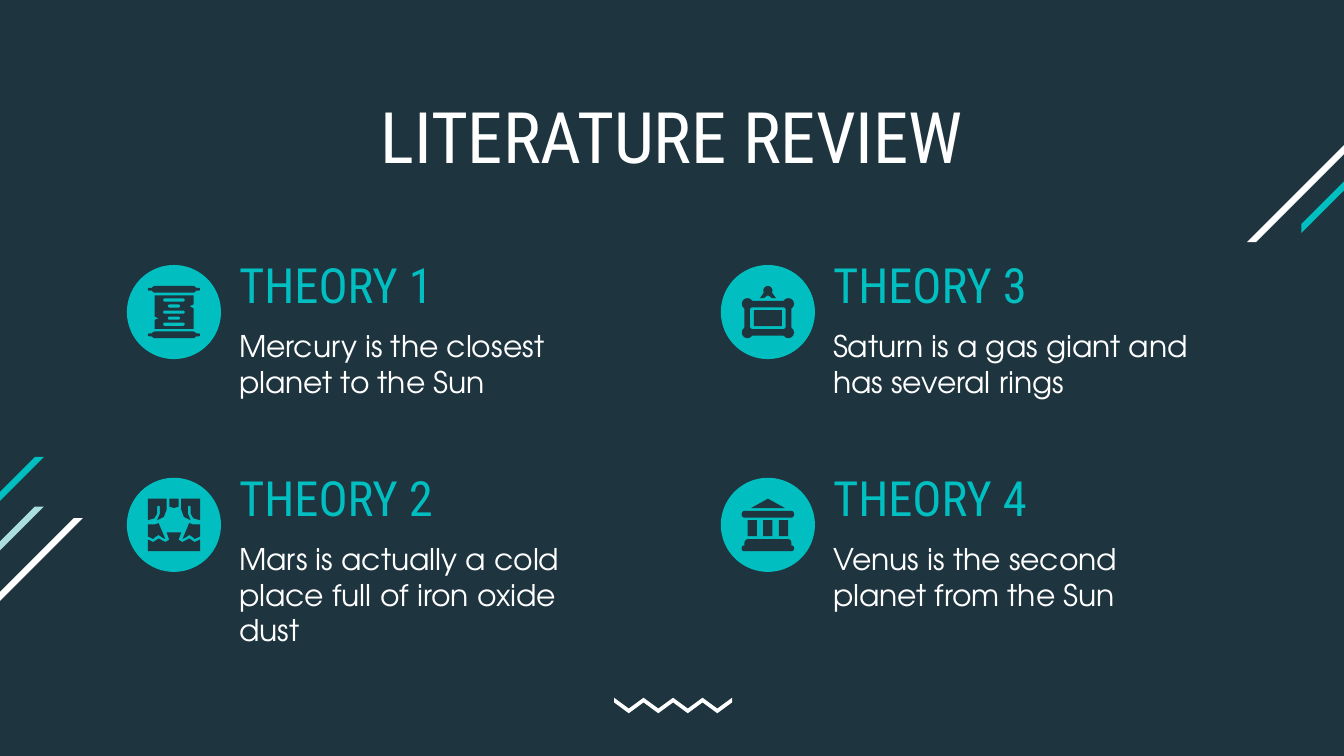
from pptx import Presentation
from pptx.dml.color import RGBColor
from pptx.enum.shapes import MSO_SHAPE
from pptx.enum.text import MSO_ANCHOR, PP_ALIGN
from pptx.util import Pt

DARK, TEAL, MINT, WHITE = "1E343F", "01BEC0", "ABDFDF", "FFFFFF"
HEAD, BODY = "Roboto Condensed", "TeX Gyre Adventor"


def paint(fill, tone):
    fill.solid()
    fill.fore_color.rgb = RGBColor.from_string(tone)


def write(frame, text, font=BODY, size=16, tone=WHITE, align=PP_ALIGN.LEFT):
    line = frame.paragraphs[0]
    line.alignment = align
    run = line.add_run()
    run.text = text
    run.font.name = font
    run.font.size = Pt(size)
    run.font.color.rgb = RGBColor.from_string(tone)


class Deck:
    def __init__(self, width, height):
        self.show = Presentation()
        self.show.slide_width = Pt(width)
        self.show.slide_height = Pt(height)
        self.slide = self.show.slides.add_slide(self.show.slide_layouts[6])
        paint(self.slide.background.fill, DARK)
        self.left = self.top = 0

    def move(self, left, top):
        self.left, self.top = left, top

    def finish(self, shape, tone):
        shape.shadow.inherit = False
        paint(shape.fill, tone)
        shape.line.fill.background()

    def shape(self, kind, x, y, w, h, tone=DARK):
        item = self.slide.shapes.add_shape(
            kind, Pt(self.left + x), Pt(self.top + y), Pt(w), Pt(h))
        self.finish(item, tone)
        return item

    def oval(self, *box, tone=DARK):
        self.shape(MSO_SHAPE.OVAL, *box, tone=tone)

    def rect(self, *box, tone=DARK):
        self.shape(MSO_SHAPE.RECTANGLE, *box, tone=tone)

    def bar(self, *box, tone=DARK, curve=0.5):
        item = self.shape(MSO_SHAPE.ROUNDED_RECTANGLE, *box, tone=tone)
        item.adjustments[0] = curve

    def poly(self, dots, tone=DARK):
        dots = [(Pt(self.left + x), Pt(self.top + y)) for x, y in dots]
        pen = self.slide.shapes.build_freeform(*dots[0])
        pen.add_line_segments(dots[1:], close=True)
        self.finish(pen.convert_to_shape(), tone)

    def stripe(self, x, y, size, tone, cut=False):
        wide = 4.8
        low = (x - size, y + size + wide) if cut else (x - size + wide, y + size)
        self.poly([(x, y), (x - size, y + size), low, (x + wide, y)], tone)

    def text(self, x, y, w, h, text, **style):
        frame = self.slide.shapes.add_textbox(Pt(x), Pt(y), Pt(w), Pt(h)).text_frame
        frame.word_wrap = True
        frame.vertical_anchor = MSO_ANCHOR.TOP
        frame.margin_left = frame.margin_right = Pt(7.2)
        frame.margin_top = frame.margin_bottom = Pt(7.2)
        write(frame, text, **style)


def scroll(deck):
    for y in (0, 24.4):
        deck.bar(2, y, 24, 3.6)
        deck.bar(0, y + 1, 28, 1.6)
    deck.poly([(3.6, 5), (3.6, 16.4), (5.8, 17.3), (3.6, 18.2), (3.6, 23),
               (24.5, 23), (24.5, 12), (22.3, 10.9), (24.5, 9.8), (24.5, 5)])
    for row in range(5):
        wide = 6.5 if row % 2 else 11.5
        deck.bar(14 - wide / 2, 6.7 + 3.24 * row, wide, 1.7, tone=TEAL)


def stage(deck):
    drape = [(0, 0), (10.1, 0), (10.1, 5.8), (8.6, 9.8), (5, 11.5), (6.5, 8),
             (6.5, 4.2), (5.8, 3.6), (5, 4.2), (5, 8), (3.5, 10.5), (0, 11.5)]
    wing = [(0, 13.7), (4, 13.7), (5.8, 13), (9.4, 21.6), (7.9, 20.9),
            (5.8, 19.4), (4, 20.5), (2.9, 21.6), (1.5, 20.9), (0, 20.2)]
    floor = [(0, 28), (0, 21.8), (2.9, 23.2), (5.8, 21.3), (9.4, 23.2),
             (11.5, 22), (10.1, 18)]
    flip = lambda dots: [(28 - x, y) for x, y in dots]
    for part in (drape, wing):
        deck.poly(part)
        deck.poly(flip(part))
    deck.poly([(11.5, 0), (16.5, 0), (16.5, 4.3), (14, 5), (11.5, 4.3)])
    deck.poly(floor + flip(floor)[::-1])


def frame(deck):
    deck.rect(1.4, 8, 25.2, 18.6)
    for x in (0, 21.9):
        for y in (6.5, 21.9):
            deck.oval(x, y, 6.1, 6.1)
    deck.bar(4.5, 11.5, 19, 11.5, tone=TEAL, curve=0.1)
    deck.rect(6.5, 13, 15, 8.6)
    deck.oval(11.5, 0, 5, 5)
    deck.poly([(11.8, 3.6), (9.7, 6.5), (11.8, 6.5), (14, 5),
               (16.2, 6.5), (18.3, 6.5), (16.2, 3.6)])


def temple(deck):
    deck.poly([(5, 5), (14, 0), (23, 5)])
    deck.bar(0, 6.5, 28, 3.6, curve=0.4)
    for x in (3.1, 11.5, 19.9):
        deck.rect(x, 11.5, 5, 8.6)
    deck.bar(1.4, 21.6, 25.2, 5, curve=0.4)
    deck.bar(0, 25, 28, 3.1, curve=0.4)


def main():
    deck = Deck(720, 405)
    deck.stripe(18.7, 271.4, 65, MINT)
    deck.stripe(18.7, 244.8, 78, TEAL)
    deck.stripe(39.6, 277.6, 43, WHITE, cut=True)
    deck.stripe(746, 51.8, 78, WHITE)
    deck.stripe(740.2, 77, 43, TEAL, cut=True)
    deck.text(56.2, 42.5, 607.6, 54.7, "LITERATURE REVIEW",
              font=HEAD, size=38, align=PP_ALIGN.CENTER)

    notes = [
        ("Mercury is the closest planet to the Sun", scroll),
        ("Mars is actually a cold place full of iron oxide dust", stage),
        ("Saturn is a gas giant and has several rings", frame),
        ("Venus is the second planet from the Sun", temple),
    ]
    for i, (note, icon) in enumerate(notes):
        x, y = 68 + 318.2 * (i // 2), 142 + 114 * (i % 2)
        deck.move(x, y)
        deck.oval(0, 0, 50.4, 50.4, tone=TEAL)
        deck.move(x + 11.2, y + 11.2)
        icon(deck)
        deck.text(x + 53, y + 26.4, 214.6, 57.6, note)
        deck.text(x + 53, y - 12.6, 214.6, 48.2, f"THEORY {i + 1}",
                  font=HEAD, size=26, tone=TEAL)

    deck.move(0, 0)
    crest = [(329 + 7.9 * i, 373.8 + 5.8 * (i % 2)) for i in range(9)]
    deck.poly(crest + [(x, y + 2.5) for x, y in crest[::-1]], WHITE)
    deck.show.save("out.pptx")


if __name__ == "__main__":
    main()
